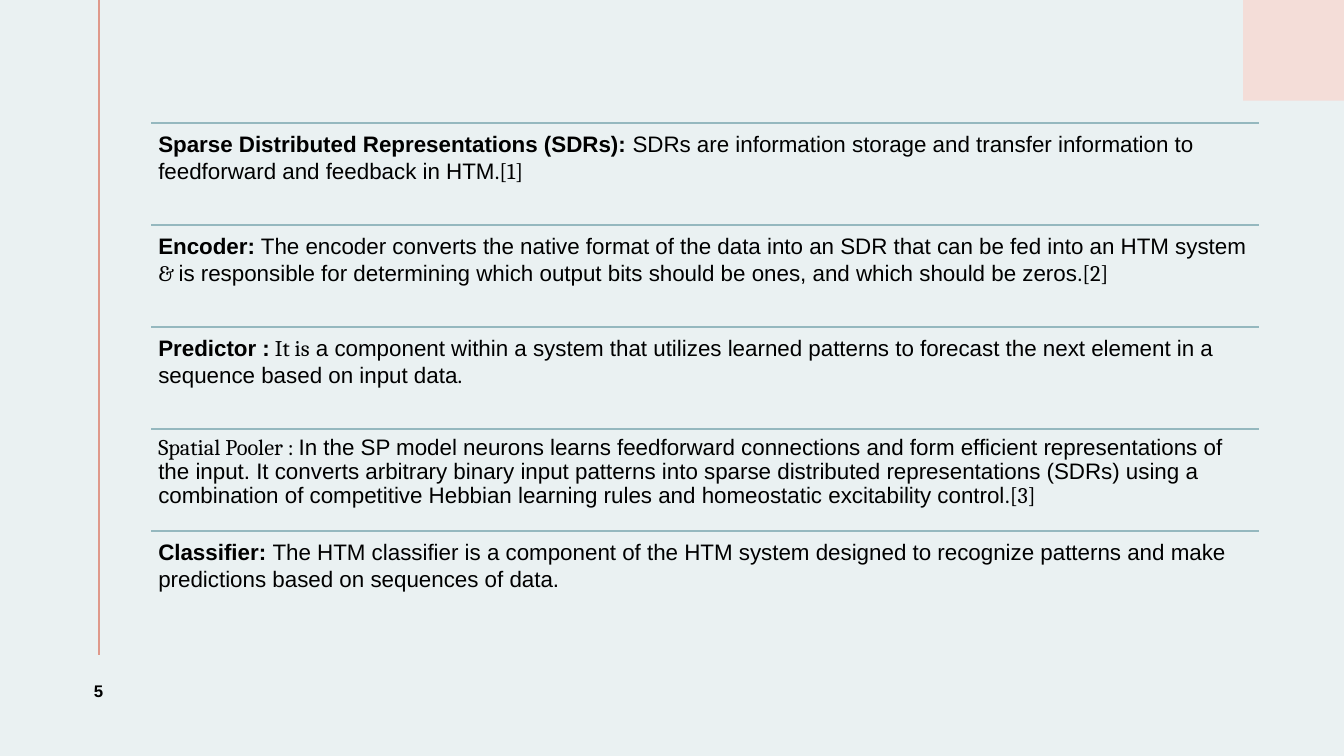
from pptx import Presentation
from pptx.dml.color import RGBColor
from pptx.enum.shapes import MSO_CONNECTOR, MSO_SHAPE
from pptx.enum.text import MSO_ANCHOR, PP_ALIGN
from pptx.oxml.ns import qn
from pptx.util import Cm, Pt

PALE = RGBColor(0xEA, 0xF1, 0xF2)
PINK = RGBColor(0xF4, 0xDD, 0xD8)
CORAL = RGBColor(0xDF, 0x99, 0x8B)
TEAL = RGBColor(0x95, 0xB8, 0xBF)
BLACK = RGBColor(0, 0, 0)

SANS, SERIF = "Arial", "Cambria"
LEFT, RIGHT, TOP, PITCH = 3.81, 31.72, 3.1, 2.57

TERMS = [
    [("Sparse Distributed Representations (SDRs): ", SANS, True),
     ("SDRs are information storage and transfer information to "
      "feedforward and feedback in HTM", SANS, False),
     (".[1]", SERIF, False)],
    [("Encoder:", SANS, True),
     (" The encoder converts the native format of the data into an SDR "
      "that can be fed into an HTM system ", SANS, False),
     ("& ", SERIF, False),
     ("is responsible for determining which output bits should be ones, "
      "and which should be zeros", SANS, False),
     (".[2]", SERIF, False)],
    [("Predictor :", SANS, True),
     (" It is", SERIF, False),
     (" a component within a system that utilizes learned patterns to "
      "forecast the next element in a sequence based on input data",
      SANS, False),
     (".", SERIF, False)],
    [("Spatial Pooler : ", SERIF, False),
     ("In the SP model neurons learns feedforward connections and form "
      "efficient representations of the input. It converts arbitrary "
      "binary input patterns into sparse distributed representations "
      "(SDRs) using a combination of competitive Hebbian learning rules "
      "and homeostatic excitability control", SANS, False),
     (".[3]", SERIF, False)],
    [("Classifier: ", SANS, True),
     ("The HTM classifier is a component of the HTM system designed to "
      "recognize patterns and make predictions based on sequences of "
      "data.", SANS, False)],
]
TIGHT = {3: 0.9}


def apply(item, style):
    for name, value in style.items():
        setattr(item, name, value)


class Page:
    def __init__(self, slide):
        self.slide = slide
        self.inset = {f"margin_{side}": Cm(0.18)
                      for side in ("left", "top", "right", "bottom")}
        fill = slide.background.fill
        fill.solid()
        fill.fore_color.rgb = PALE

    def block(self, x, y, w, h, color):
        box = self.slide.shapes.add_shape(
            MSO_SHAPE.RECTANGLE, Cm(x), Cm(y), Cm(w), Cm(h))
        box.shadow.inherit = False
        box.fill.solid()
        box.fill.fore_color.rgb = color
        box.line.fill.background()

    def rule(self, x1, y1, x2, y2, color, width):
        line = self.slide.shapes.add_connector(
            MSO_CONNECTOR.STRAIGHT, Cm(x1), Cm(y1), Cm(x2), Cm(y2))
        line.line.color.rgb = color
        line.line.width = Pt(width)
        props = line._element.spPr
        props.append(props.makeelement(qn("a:effectLst"), {}))

    def text(self, x, y, w, h, runs, size, frame, para):
        box = self.slide.shapes.add_textbox(Cm(x), Cm(y), Cm(w), Cm(h))
        body = box.text_frame
        apply(body, {"word_wrap": True, **frame})
        line = body.paragraphs[0]
        apply(line, para)
        for words, face, bold in runs:
            run = line.add_run()
            run.text = words
            apply(run.font, {"name": face, "size": Pt(size), "bold": bold})
            run.font.color.rgb = BLACK
        return line

    def term(self, y, runs, gap):
        self.rule(LEFT, y, RIGHT, y, TEAL, 1)
        self.text(LEFT, y, RIGHT - LEFT, PITCH, runs, 16, self.inset,
                  {"line_spacing": gap})

    def number(self, value):
        line = self.text(1.14, 16.51, 2.69, 1.8, [(value, SANS, True)], 12,
                         {"vertical_anchor": MSO_ANCHOR.MIDDLE},
                         {"alignment": PP_ALIGN.CENTER, "space_after": Pt(6)})
        line.runs[0].font._element.set("spc", "150")


def main():
    deck = Presentation()
    apply(deck, {"slide_width": Cm(33.87), "slide_height": Cm(19.05)})
    page = Page(deck.slides.add_slide(deck.slide_layouts[6]))
    page.block(31.33, 0, 2.54, 2.54, PINK)
    page.rule(2.49, 0, 2.49, 16.51, CORAL, 1.5)
    page.number("5")
    for row, runs in enumerate(TERMS):
        page.term(TOP + row * PITCH, runs, TIGHT.get(row, 1.0))
    deck.save("out.pptx")


if __name__ == "__main__":
    main()
